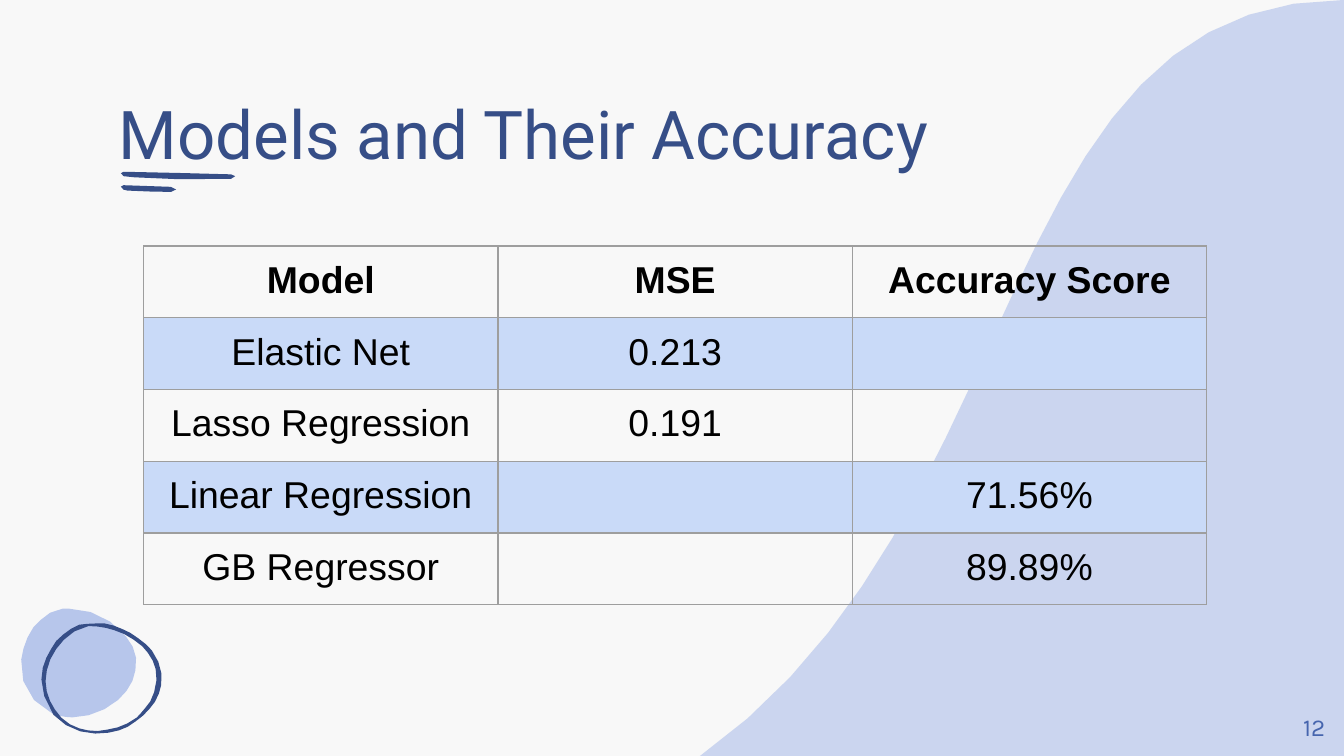
from lxml.etree import SubElement
from pptx import Presentation
from pptx.dml.color import RGBColor
from pptx.enum.text import MSO_ANCHOR, PP_ALIGN
from pptx.oxml.ns import qn
from pptx.util import Pt

NAVY, PALE, BAND, GREY = "364E87", "B7C6EB", "C9DAF8", "9E9E9E"

# Outlines in points from the box corner: a start, then line ends (one pair)
# or cubic curves (two controls and an end).
WAVE = [(345, 0), ((155, 0), (180, 278), (0, 405)), ((345, 405),)]
BLOB = [
    (23.8, 0), ((15.8, 1), (11.5, 6.5), (7.9, 10.1)),
    ((4.3, 15.1), (2.2, 21.6), (1.4, 27.4)),
    ((0, 38.9), (6.5, 51.1), (18, 56.2)),
    ((21.6, 57.6), (25.2, 58.3), (28.8, 58.3)),
    ((37.4, 58.3), (46.8, 54.7), (53.3, 49)),
    ((58.3, 44.6), (61.9, 38.9), (62.6, 33.1)),
    ((64.1, 25.9), (61.9, 20.2), (57.6, 15.1)),
    ((50.4, 5.8), (38.9, 0), (26.6, 0)),
]
OUTER = [
    (20.9, 0.7), ((16.6, 2.2), (12.2, 5.8), (8.6, 9.4)),
    ((5.8, 13.7), (2.9, 18), (1.4, 23.8)),
    ((0, 28.1), (0, 39), (7.2, 49)),
    ((13, 55.4), (21.6, 59), (29.5, 59)),
    ((37.4, 59), (42.5, 57.6), (46.8, 55.4)),
    ((51.1, 52.6), (55.4, 49.7), (58.3, 46.1)),
    ((61.9, 42.5), (64.1, 37.4), (64.8, 33.1)),
    ((66, 27.4), (64.1, 20), (59.8, 14.4)),
    ((56.9, 10.8), (52.6, 7.9), (48.2, 5)),
    ((43.9, 2.9), (39.6, 0.7), (34.6, 0)),
    ((30, 0), (25, 0), (20.9, 0.7)),
]
INNER = [
    (25.9, 1.4), ((31, 1.4), (35.3, 2.2), (39.6, 3.6)),
    ((45, 5), (50.4, 8.6), (54.7, 12.2)),
    ((57.6, 15.1), (61.2, 20.2), (61.9, 24.5)),
    ((63.4, 29.5), (61.2, 38.2), (59, 41.8)),
    ((56.2, 45.5), (53.3, 49), (51.8, 50.4)),
    ((46.8, 54), (41.8, 56.2), (36, 56.9)),
    ((31, 58.3), (25.2, 57.6), (20.9, 56.2)),
    ((15.8, 54.7), (10.8, 51.1), (7.9, 46.1)),
    ((5, 41.8), (2.9, 36.7), (2.9, 31)),
    ((2.9, 25.2), (5, 18.7), (8.6, 13.7)),
    ((12, 9), (17.3, 3), (25.9, 1.4)),
]
LONG = [(1.4, 0)] + [(end,) for end in (
    (0, 0.8), (1.4, 2.4), (7.2, 3), (31, 4), (59, 3.8),
    (61.2, 2.4), (59, 1.4), (32.4, 0.7))]
SHORT = [(1.4, 0)] + [(end,) for end in (
    (0, 0.8), (1.4, 2.4), (3.6, 2.9), (15, 3.4), (26.8, 3.6),
    (29.6, 2.3), (26.8, 0.9))]
ROWS = [
    ("Model", "MSE", "Accuracy Score"),
    ("Elastic Net", "0.213", ""),
    ("Lasso Regression", "0.191", ""),
    ("Linear Regression", "", "71.56%"),
    ("GB Regressor", "", "89.89%"),
]


def paint(fill, color):
    fill.solid()
    fill.fore_color.rgb = RGBColor.from_string(color)


def trace(outline, steps):
    """Turn an outline into a list of points along it."""
    points = [outline[0]]
    for part in outline[1:]:
        if len(part) == 1:
            points.append(part[0])
            continue
        knots = (points[-1], *part)
        for step in range(1, steps + 1):
            t = step / steps
            u = 1 - t
            mix = (u ** 3, 3 * u * u * t, 3 * u * t * t, t ** 3)
            points.append(tuple(sum(m * k[axis] for m, k in zip(mix, knots))
                                for axis in (0, 1)))
    return [(Pt(x), Pt(y)) for x, y in points]


def draw(slide, left, top, color, *outlines, steps=3):
    """Fill one shape made of closed outlines; a second one cuts a hole."""
    build = None
    for outline in outlines:
        first, *rest = trace(outline, steps)
        if build is None:
            build = slide.shapes.build_freeform(*first)
        else:
            build.move_to(*first)
        build.add_line_segments(rest, close=True)
    shape = build.convert_to_shape(Pt(left), Pt(top))
    shape.shadow.inherit = False
    paint(shape.fill, color)
    shape.line.fill.background()
    return shape


def add_wave(slide, left, top):
    wave = draw(slide, left, top, PALE, WAVE, steps=20)
    color = wave.element.spPr.find(qn("a:solidFill"))[0]
    SubElement(color, qn("a:alpha"), val="69000")


def add_rings(slide, left, top):
    draw(slide, left, top, PALE, BLOB)
    draw(slide, left + 11.5, top + 8, NAVY, OUTER, INNER)


def add_strokes(slide, left, top):
    draw(slide, left, top, NAVY, LONG)
    draw(slide, left, top + 7.2, NAVY, SHORT)


def style(para, size, font, color, align, bold=False):
    para.alignment = align
    para.font.size = Pt(size)
    para.font.name = font
    para.font.bold = bold
    para.font.color.rgb = RGBColor.from_string(color)


def add_text(slide, box, text, size, font, color, align, anchor):
    frame = slide.shapes.add_textbox(*map(Pt, box)).text_frame
    frame.word_wrap = True
    frame.vertical_anchor = anchor
    frame.margin_left = frame.margin_right = Pt(7.2)
    frame.margin_top = frame.margin_bottom = Pt(7.2)
    frame.text = text
    style(frame.paragraphs[0], size, font, color, align)


def add_edges(cell):
    props = cell._tc.get_or_add_tcPr()
    for side in ("lnL", "lnR", "lnT", "lnB"):
        line = SubElement(props, qn("a:" + side), w=str(Pt(0.75)))
        fill = SubElement(line, qn("a:solidFill"))
        SubElement(fill, qn("a:srgbClr"), val=GREY)


def add_scores(slide, left, top, width, height):
    table = slide.shapes.add_table(len(ROWS), len(ROWS[0]), Pt(left), Pt(top),
                                   Pt(width), Pt(height)).table
    table.first_row = table.horz_banding = False
    for r, row in enumerate(ROWS):
        for c, text in enumerate(row):
            cell = table.cell(r, c)
            cell.margin_left = cell.margin_right = Pt(7.2)
            cell.margin_top = cell.margin_bottom = Pt(7.2)
            add_edges(cell)
            if r % 2:
                paint(cell.fill, BAND)
            else:
                cell.fill.background()
            if text:
                cell.text = text
                style(cell.text_frame.paragraphs[0], 20, "Arial", "000000",
                      PP_ALIGN.CENTER, r == 0)


def main():
    deck = Presentation()
    deck.slide_width, deck.slide_height = Pt(720), Pt(405)
    slide = deck.slides.add_slide(deck.slide_layouts[6])
    paint(slide.background.fill, "F8F8F8")
    add_wave(slide, 375, 0)
    add_rings(slide, 10, 326)
    add_text(slide, (56.5, 42.5, 611, 48), "Models and Their Accuracy", 36,
             "Roboto", NAVY, PP_ALIGN.LEFT, MSO_ANCHOR.TOP)
    add_scores(slide, 77, 131.8, 569.5, 186.5)
    add_strokes(slide, 64.8, 92)
    add_text(slide, (674, 373.7, 43, 31), "12", 13, "Karla", "4665AE",
             PP_ALIGN.RIGHT, MSO_ANCHOR.MIDDLE)
    deck.save("out.pptx")


if __name__ == "__main__":
    main()
